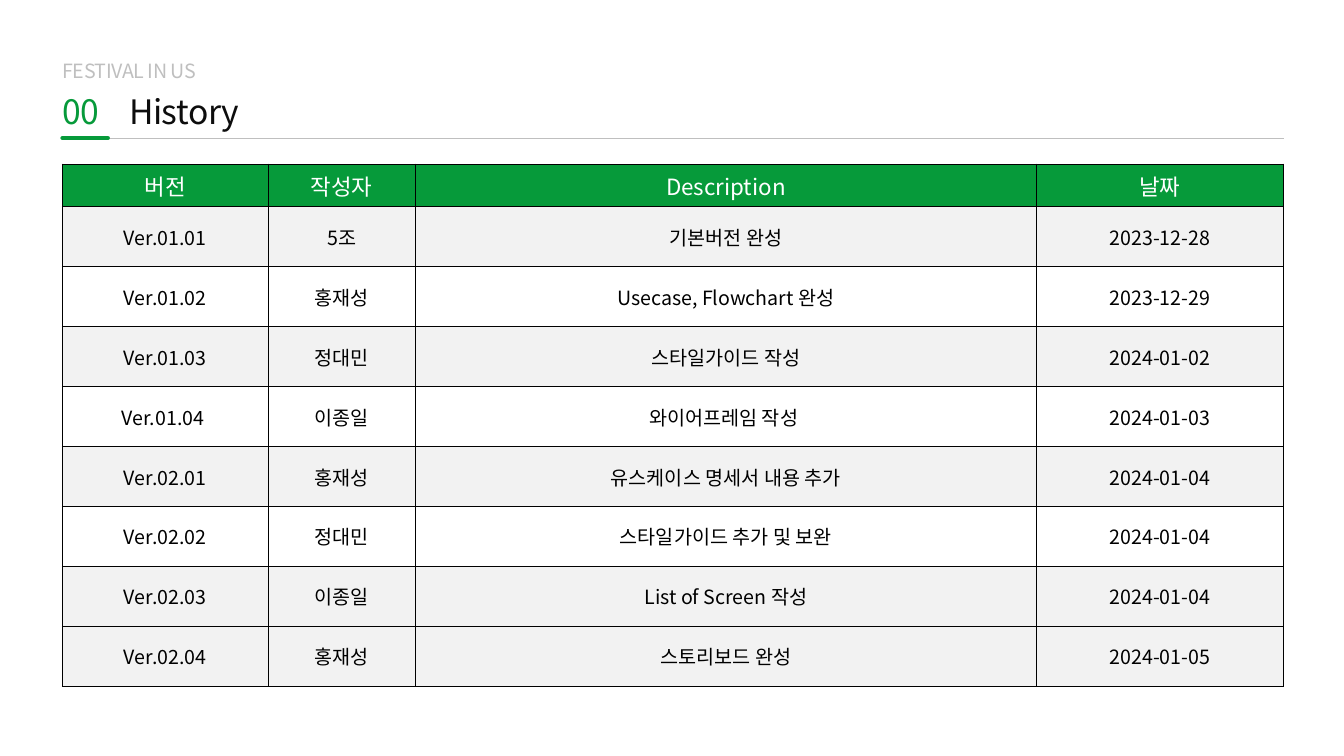
from typing import Any, NamedTuple

from lxml import etree
from pptx import Presentation
from pptx.dml.color import RGBColor
from pptx.enum.shapes import MSO_CONNECTOR
from pptx.enum.text import MSO_ANCHOR, MSO_AUTO_SIZE, PP_ALIGN
from pptx.oxml.ns import qn
from pptx.util import Pt

PX = 9144  # EMU in one px, 100 px to the inch
FONT = "Noto Sans CJK KR"
STRAIGHT = MSO_CONNECTOR.STRAIGHT
TOP, MIDDLE, BOTTOM = MSO_ANCHOR.TOP, MSO_ANCHOR.MIDDLE, MSO_ANCHOR.BOTTOM
CENTER = PP_ALIGN.CENTER
GROW = MSO_AUTO_SIZE.SHAPE_TO_FIT_TEXT

GREEN = RGBColor(0x06, 0x9A, 0x3A)
SILVER = RGBColor(0xBF, 0xBF, 0xBF)
INK = RGBColor(0x0D, 0x0D, 0x0D)
BLACK = RGBColor(0, 0, 0)
WHITE = RGBColor(0xFF, 0xFF, 0xFF)
PALE = RGBColor(0xF2, 0xF2, 0xF2)


class Label(NamedTuple):
    text: str
    box: tuple[int, int, int, int]
    size: int
    color: RGBColor
    anchor: Any = TOP


class Rule(NamedTuple):
    start: int
    end: int
    color: RGBColor
    width: float
    cap: str


LABELS = [
    Label("History", (128, 90, 115, 40), 24, INK),
    Label("FESTIVAL IN US", (62, 58, 137, 24), 14, SILVER, BOTTOM),
    Label("00", (62, 90, 46, 40), 24, GREEN),
]
RULE_Y = 137
RULES = [Rule(107, 1273, SILVER, 0.5, "flat"), Rule(62, 107, GREEN, 3, "rnd")]

LEFT, UPPER, HEIGHT, HEAD = 62, 163, 518, 42
COLS = [204, 146, 616, 245]
ROWS = [
    ("버전", "작성자", "Description", "날짜"),
    ("Ver.01.01", "5조", "기본버전 완성", "2023-12-28"),
    ("Ver.01.02", "홍재성", "Usecase, Flowchart 완성", "2023-12-29"),
    ("Ver.01.03", "정대민", "스타일가이드 작성", "2024-01-02"),
    ("Ver.01.04 ", "이종일", "와이어프레임 작성 ", "2024-01-03"),
    ("Ver.02.01", "홍재성", "유스케이스 명세서 내용 추가", "2024-01-04"),
    ("Ver.02.02", "정대민", "스타일가이드 추가 및 보완", "2024-01-04"),
    ("Ver.02.03", "이종일", "List of Screen 작성", "2024-01-04"),
    ("Ver.02.04", "홍재성", "스토리보드 완성", "2024-01-05"),
]
FILLS = [GREEN, PALE, WHITE, PALE, WHITE, PALE, WHITE, PALE, PALE]
SIDES = ("left", "right", "top", "bottom")


def style(item: Any, values: dict[str, Any]) -> None:
    for name, value in values.items():
        setattr(item, name, value)


def margins(size: int) -> dict[str, int]:
    return {f"margin_{side}": size * PX for side in SIDES}


def write(para: Any, text: str, size: int, color: RGBColor) -> Any:
    """Add a run in the slide font and return its properties element."""
    run = para.add_run()
    run.text = text
    style(run.font, {"name": FONT, "size": Pt(size)})
    run.font.color.rgb = color
    props = run._r.get_or_add_rPr()
    etree.SubElement(props, qn("a:ea"), typeface=FONT)
    return props


def add_label(slide: Any, label: Label) -> None:
    frame = slide.shapes.add_textbox(*(n * PX for n in label.box)).text_frame
    style(frame, margins(0) | {"word_wrap": False, "auto_size": GROW,
                               "vertical_anchor": label.anchor})
    props = write(frame.paragraphs[0], label.text, label.size, label.color)
    props.set("spc", "-30")


def add_rule(slide: Any, rule: Rule) -> None:
    y = RULE_Y * PX
    line = slide.shapes.add_connector(
        STRAIGHT, rule.start * PX, y, rule.end * PX, y)
    line.line.color.rgb = rule.color
    line.line.width = Pt(rule.width)
    line.line._get_or_add_ln().set("cap", rule.cap)
    etree.SubElement(line._element.spPr, qn("a:effectLst"))


def frame_cell(cell: Any) -> None:
    """Draw a black border on all four sides; call before filling."""
    props = cell._tc.get_or_add_tcPr()
    for side in SIDES:
        edge = etree.SubElement(props, qn(f"a:ln{side[0].upper()}"),
                                w=str(Pt(1)))
        fill = etree.SubElement(edge, qn("a:solidFill"))
        etree.SubElement(fill, qn("a:srgbClr"), val=str(BLACK))


def add_history(slide: Any) -> None:
    table = slide.shapes.add_table(
        len(ROWS), len(COLS), LEFT * PX, UPPER * PX,
        sum(COLS) * PX, HEIGHT * PX).table
    for col, width in zip(table.columns, COLS):
        col.width = width * PX
    body = (HEIGHT - HEAD) * PX // (len(ROWS) - 1)
    for i, (row, texts, fill) in enumerate(zip(table.rows, ROWS, FILLS)):
        row.height = body if i else HEAD * PX
        size, color = (14, BLACK) if i else (16, WHITE)
        for cell, text in zip(row.cells, texts):
            style(cell, margins(3) | {"vertical_anchor": MIDDLE})
            frame_cell(cell)
            cell.fill.solid()
            cell.fill.fore_color.rgb = fill
            para = cell.text_frame.paragraphs[0]
            para.alignment = CENTER
            write(para, text, size, color)


def main() -> None:
    deck = Presentation()
    style(deck, {"slide_width": 1333 * PX, "slide_height": 750 * PX})
    slide = deck.slides.add_slide(deck.slide_layouts[6])
    for label in LABELS:
        add_label(slide, label)
    for rule in RULES:
        add_rule(slide, rule)
    add_history(slide)
    deck.save("out.pptx")


if __name__ == "__main__":
    main()
